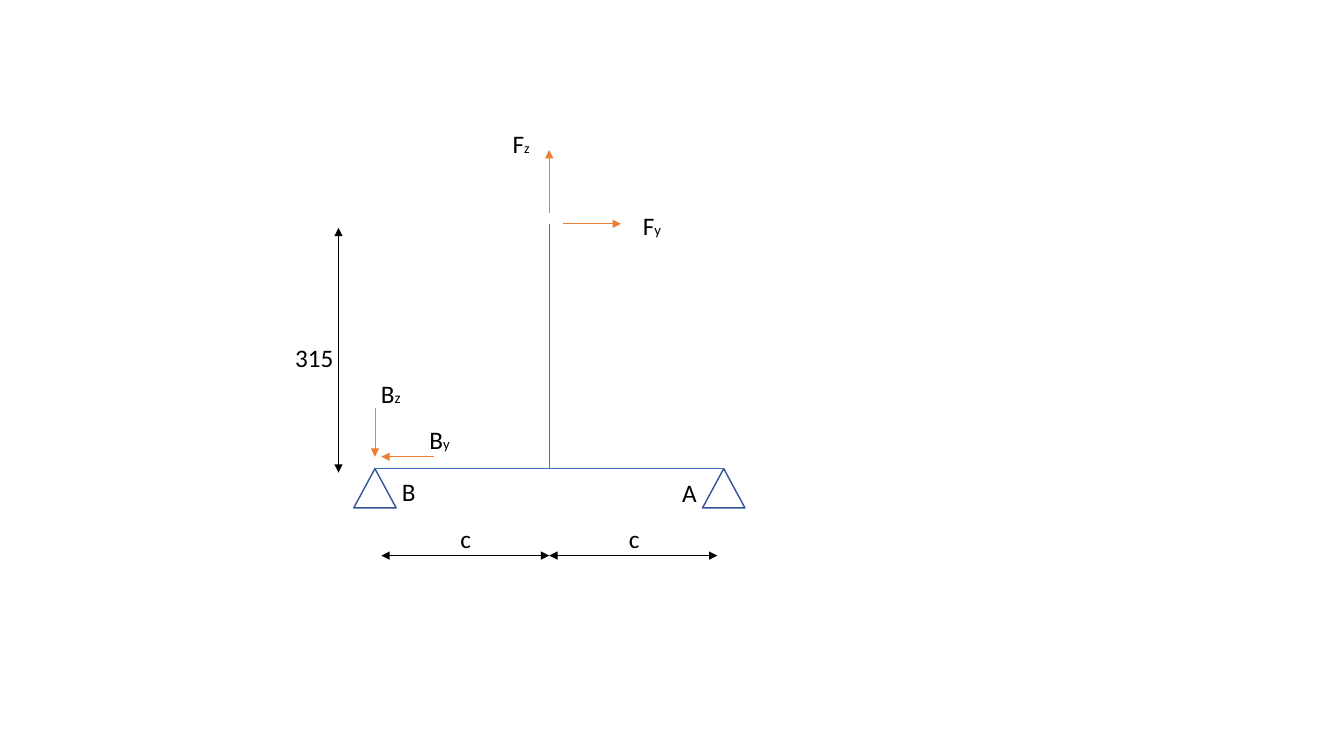
import pptx
import pptx.util
import pptx.dml.color
import pptx.enum.shapes
import pptx.enum.text
import pptx.oxml.ns
from lxml import etree
from pptx.util import Cm, Pt

THEME = {
    "font": "Calibri", "size": 18, "thin": 0.5, "outline": 1,
    "beam": "4472C4", "support": "325491", "force": "ED7D31",
    "ink": "000000", "paper": "FFFFFF",
}

# Key positions of the frame, in cm
X_B, X_MID, X_A = 9.45, 13.84, 18.24
Y_BEAM, Y_TOP = 11.81, 5.64
Y_SPAN, X_HEIGHT = 14.0, 8.53
GAP = 0.16           # span arrows stop short of the supports
Y_REACT = 11.51      # level of the reaction at B
SUPPORT_W, SUPPORT_H = 1.07, 0.99
LABEL_H = 1.02

# Lines: start, end, colour, arrowheads
MEMBERS = [
    ((X_B, Y_BEAM), (X_A, Y_BEAM), "beam", ()),
    ((X_MID, Y_TOP), (X_MID, Y_BEAM), "beam", ()),
]
ARROWS = [
    ((X_MID, 5.36), (X_MID, 3.78), "force", ("tailEnd",)),
    ((14.2, Y_TOP), (15.65, Y_TOP), "force", ("tailEnd",)),
    ((X_B, 10.29), (X_B, Y_REACT), "force", ("tailEnd",)),
    ((10.95, Y_REACT), (X_B + GAP, Y_REACT), "force", ("tailEnd",)),
    ((X_HEIGHT, 11.91), (X_HEIGHT, 5.74), "ink", ("headEnd", "tailEnd")),
    ((X_B + GAP, Y_SPAN), (X_MID, Y_SPAN), "ink", ("headEnd", "tailEnd")),
    ((X_MID, Y_SPAN), (X_A - GAP, Y_SPAN), "ink", ("headEnd", "tailEnd")),
]

# Labels: text, small suffix, suffix size, left, top, width
LABELS = [
    ("A", "", None, 16.94, 11.91, 1.07),
    ("B", "", None, 9.88, 11.89, 1.07),
    ("B", "y", 10.5, 10.57, 10.57, 1.07),
    ("B", "z", 11, 9.35, 9.42, 1.07),
    ("F", "y", 10.5, 15.95, 5.18, 1.45),
    ("F", "z", 10, 12.67, 3.1, 1.83),
    ("315", "", None, 7.19, 8.51, 1.55),
    ("c", "", None, 11.35, 13.06, 1.32),
    ("c", "", None, 15.6, 13.06, 0.86),
]


def rgb(name):
    return pptx.dml.color.RGBColor.from_string(THEME[name])


def add_line(s, start, end, colour, heads):
    c = s.shapes.add_connector(pptx.enum.shapes.MSO_CONNECTOR.STRAIGHT,
                               *(Cm(v) for v in start + end))
    c.line.color.rgb = rgb(colour)
    c.line.width = Pt(THEME["thin"])
    ln = c.line._get_or_add_ln()
    for head in heads:
        etree.SubElement(ln, pptx.oxml.ns.qn("a:" + head), type="triangle")
    etree.SubElement(c._element.spPr, pptx.oxml.ns.qn("a:effectLst"))


def add_support(s, x):
    sp = s.shapes.add_shape(pptx.enum.shapes.MSO_SHAPE.ISOSCELES_TRIANGLE,
                            Cm(x - SUPPORT_W / 2), Cm(Y_BEAM),
                            Cm(SUPPORT_W), Cm(SUPPORT_H))
    sp.shadow.inherit = False
    sp.fill.solid()
    sp.fill.fore_color.rgb = rgb("paper")
    sp.line.color.rgb = rgb("support")
    sp.line.width = Pt(THEME["outline"])


def add_label(s, text, suffix, suffix_size, left, top, width):
    sp = s.shapes.add_textbox(Cm(left), Cm(top), Cm(width), Cm(LABEL_H))
    tf = sp.text_frame
    tf.word_wrap = True
    tf.auto_size = pptx.enum.text.MSO_AUTO_SIZE.SHAPE_TO_FIT_TEXT
    p = tf.paragraphs[0]
    p.font.name = THEME["font"]
    p.font.size = Pt(THEME["size"])
    p.font.color.rgb = rgb("ink")
    p.add_run().text = text
    if suffix:
        r = p.add_run()
        r.text = suffix
        r.font.size = Pt(suffix_size)


prs = pptx.Presentation()
prs.slide_width, prs.slide_height = Cm(33.87), Cm(19.05)
s = prs.slides.add_slide(prs.slide_layouts[6])

# Frame and supports
for member in MEMBERS:
    add_line(s, *member)
for x in (X_B, X_A):
    add_support(s, x)

# Forces and dimensions
for arrow in ARROWS:
    add_line(s, *arrow)

# Labels
for label in LABELS:
    add_label(s, *label)

prs.save("out.pptx")
